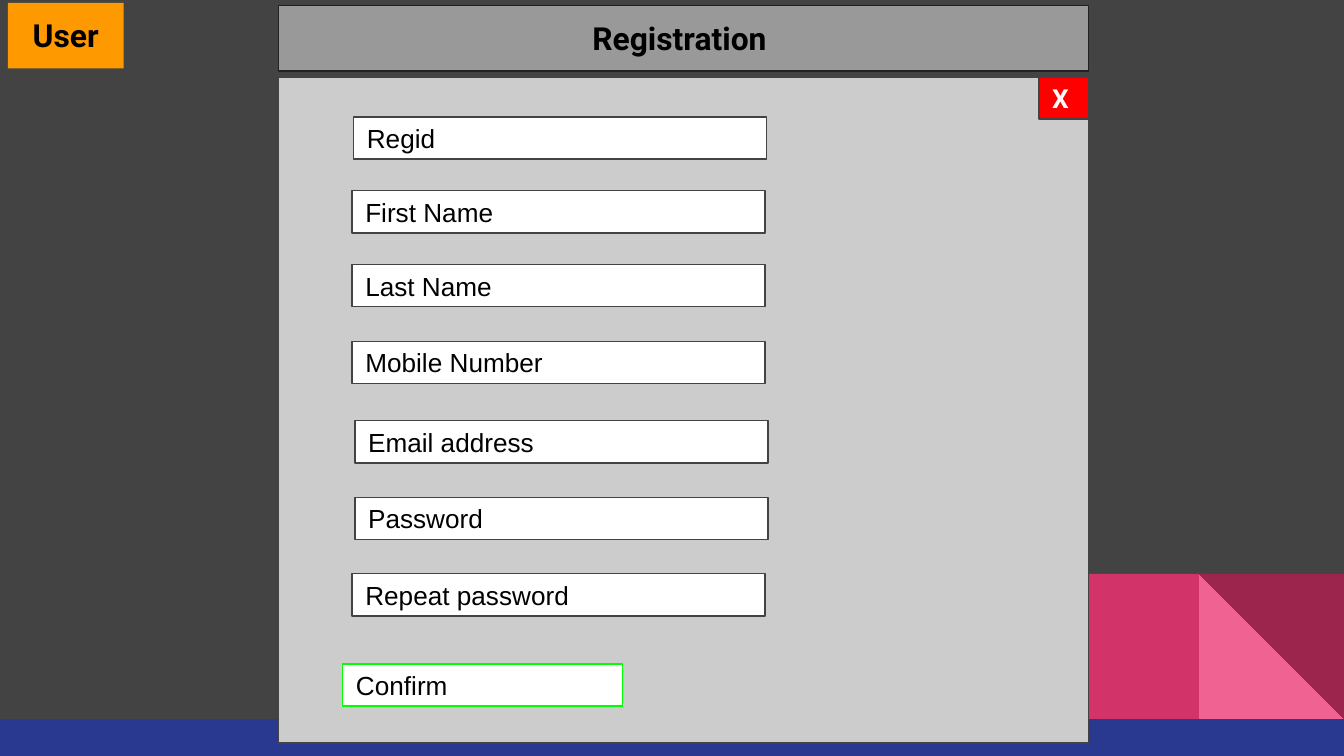
from pptx import Presentation
from pptx.dml.color import RGBColor
from pptx.enum.shapes import MSO_SHAPE
from pptx.enum.text import MSO_ANCHOR, MSO_AUTO_SIZE, PP_ALIGN
from pptx.util import Pt

RECTANGLE, TRIANGLE = MSO_SHAPE.RECTANGLE, MSO_SHAPE.RIGHT_TRIANGLE
TOP, MIDDLE = MSO_ANCHOR.TOP, MSO_ANCHOR.MIDDLE
LEFT, CENTER = PP_ALIGN.LEFT, PP_ALIGN.CENTER
TITLE_ONLY = 5

# Content: label, left and top of each form field
TITLE = "Registration "
ROLE = "User"
CLOSE = "X"
CONFIRM = "Confirm"
FIELDS = [
    ("Regid", 189.4, 62.6),
    ("First Name", 188.6, 102.2),
    ("Last Name", 188.6, 141.8),
    ("Mobile Number", 188.6, 182.9),
    ("Email address", 190.1, 225.4),
    ("Password", 190.1, 266.4),
    ("Repeat password", 188.6, 307.4),
]

THEME = {
    "background": "434343", "outline": "434343", "panel": "CCCCCC",
    "bar": "999999", "bar_line": "212121", "field": "FFFFFF",
    "confirm": "00FF00", "close": "FF0000", "role": "FF9900",
    "text": "000000", "light_text": "FFFFFF",
    "pink": "F06292", "rose": "D23369", "wine": "9C254D", "band": "2A3990",
    "body_font": "Arial", "heading_font": "Roboto",
    "body_size": 14, "heading_size": 17,
}

# Layout in points
SLIDE_WIDTH, SLIDE_HEIGHT = 720, 405
PANEL_LEFT, PANEL_TOP, PANEL_WIDTH, PANEL_HEIGHT = 149.2, 41.2, 434, 357
FIELD_WIDTH, FIELD_HEIGHT = 221.3, 22.6
CLOSE_WIDTH = 26.6
HEADING_HEIGHT = 35.2
TILE, TILE_TOP = 77.8, 307.4
BAND_TOP = TILE_TOP + TILE


def color(name):
    return RGBColor.from_string(THEME[name])


def style_box(shape, fill, line=None):
    shape.fill.solid()
    shape.fill.fore_color.rgb = color(fill)
    if line:
        shape.line.color.rgb = color(line)
        shape.line.width = Pt(0.75)
    else:
        shape.line.fill.background()


def add_box(slide, left, top, width, height, fill, line=None, kind=RECTANGLE):
    shape = slide.shapes.add_shape(kind, Pt(left), Pt(top), Pt(width), Pt(height))
    shape.shadow.inherit = False
    style_box(shape, fill, line)
    return shape


def write(shape, text, font="body_font", size="body_size", ink="text",
          bold=False, align=LEFT, anchor=MIDDLE):
    frame = shape.text_frame
    frame.word_wrap = True
    frame.auto_size = MSO_AUTO_SIZE.NONE
    frame.vertical_anchor = anchor
    frame.margin_left = frame.margin_right = Pt(7.2)
    frame.margin_top = frame.margin_bottom = Pt(7.2)
    paragraph = frame.paragraphs[0]
    paragraph.alignment = align
    run = paragraph.add_run()
    run.text = text
    run.font.name = THEME[font]
    run.font.size = Pt(THEME[size])
    run.font.bold = bold
    run.font.color.rgb = color(ink)


def main():
    presentation = Presentation()
    presentation.slide_width = Pt(SLIDE_WIDTH)
    presentation.slide_height = Pt(SLIDE_HEIGHT)
    slide = presentation.slides.add_slide(presentation.slide_layouts[TITLE_ONLY])
    slide.background.fill.solid()
    slide.background.fill.fore_color.rgb = color("background")
    heading = {"font": "heading_font", "size": "heading_size", "bold": True,
               "align": CENTER, "anchor": TOP}

    # Title bar
    title = slide.shapes.title
    title.left, title.top = Pt(PANEL_LEFT), Pt(2.9)
    title.width, title.height = Pt(PANEL_WIDTH), Pt(HEADING_HEIGHT)
    style_box(title, "bar", "bar_line")
    write(title, TITLE, **heading)

    # Corner decoration and bottom band
    corner = SLIDE_WIDTH - TILE
    add_box(slide, corner, TILE_TOP, TILE, TILE, "pink", kind=TRIANGLE)
    add_box(slide, corner - TILE, TILE_TOP, TILE, TILE, "rose")
    add_box(slide, corner, TILE_TOP, TILE, TILE, "wine", kind=TRIANGLE).rotation = 180
    add_box(slide, 0, BAND_TOP, SLIDE_WIDTH, SLIDE_HEIGHT - BAND_TOP, "band")

    # Form panel with its fields
    add_box(slide, PANEL_LEFT, PANEL_TOP, PANEL_WIDTH, PANEL_HEIGHT, "panel", "outline")
    for label, left, top in FIELDS:
        field = add_box(slide, left, top, FIELD_WIDTH, FIELD_HEIGHT, "field", "outline")
        write(field, label)

    # Buttons
    confirm = add_box(slide, 183.6, 355.7, 149.8, FIELD_HEIGHT, "field", "confirm")
    write(confirm, CONFIRM)
    close_left = PANEL_LEFT + PANEL_WIDTH - CLOSE_WIDTH
    close = add_box(slide, close_left, PANEL_TOP, CLOSE_WIDTH, FIELD_HEIGHT,
                    "close", "outline")
    write(close, CLOSE, font="heading_font", ink="light_text", bold=True)

    # Role tag
    role = add_box(slide, 4.3, 1.5, 61.9, HEADING_HEIGHT, "role")
    write(role, ROLE, **heading)

    presentation.save("out.pptx")


if __name__ == "__main__":
    main()
